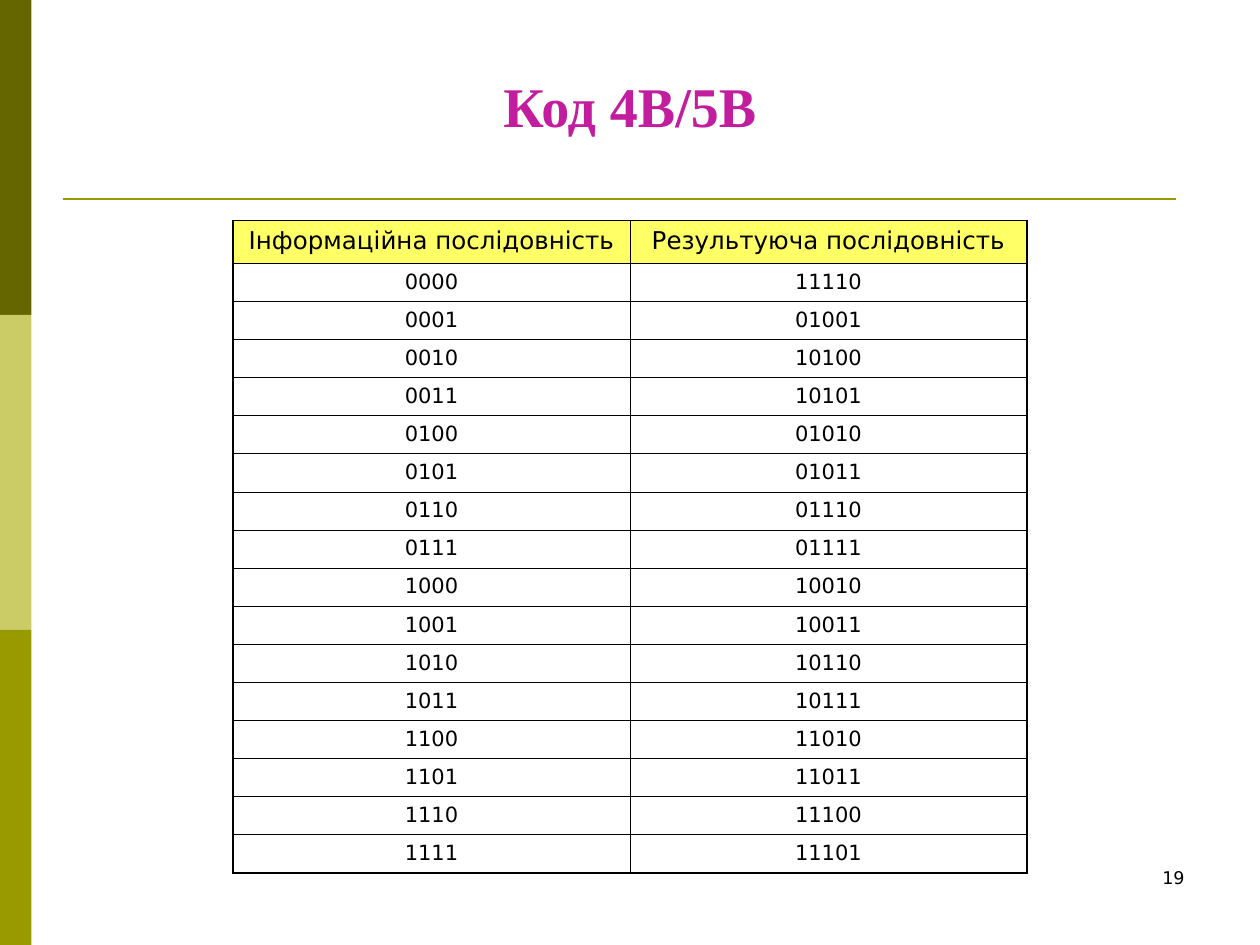
from lxml.etree import SubElement
from pptx import Presentation
from pptx.dml.color import RGBColor
from pptx.enum.shapes import MSO_CONNECTOR, MSO_SHAPE
from pptx.enum.text import MSO_ANCHOR, PP_ALIGN
from pptx.oxml import parse_xml
from pptx.oxml.ns import nsdecls, qn
from pptx.util import Inches, Pt

WIDTH, HEIGHT = Inches(10), Inches(7.5)
COLUMNS, ROWS = 40, 30
BANDS = ["666600", "CCCC66", "999900"]
HEADINGS = ["Інформаційна послідовність", "Результуюча послідовність"]
CODES = """11110 01001 10100 10101 01010 01011 01110 01111
10010 10011 10110 10111 11010 11011 11100 11101""".split()
TITLE = {"name": "Times New Roman", "size": Pt(32), "bold": True}
HEADING = {"name": "DejaVu Sans", "size": Pt(14), "bold": False}
BODY = {**HEADING, "size": Pt(12)}
NUMBER = {**HEADING, "size": Pt(10)}
THIN, THICK = 0.45, 1.08


def color(value):
    """Turn a hex string into a colour."""
    return RGBColor.from_string(value)


def across(columns):
    """Length of a number of grid columns."""
    return round(WIDTH * columns / COLUMNS)


def down(rows):
    """Length of a number of grid rows."""
    return round(HEIGHT * rows / ROWS)


def place(left, top, wide, tall):
    """Position and size from grid columns and rows."""
    return across(left), down(top), across(wide), down(tall)


def write(frame, text, style, align, ink="000000"):
    """Write one formatted paragraph into a text frame."""
    frame.word_wrap = True
    para = frame.paragraphs[0]
    para.alignment = align
    span = para.add_run()
    span.text = text
    for name, value in style.items():
        setattr(span.font, name, value)
    span.font.color.rgb = color(ink)


def add_text(page, spot, text, style, align, anchor=MSO_ANCHOR.TOP, ink="000000"):
    """Add a text box on the grid."""
    frame = page.shapes.add_textbox(*place(*spot)).text_frame
    frame.vertical_anchor = anchor
    write(frame, text, style, align, ink)


def add_band(page, spot, fill):
    """Add a plain filled rectangle."""
    box = page.shapes.add_shape(MSO_SHAPE.RECTANGLE, *place(*spot))
    box.shadow.inherit = False
    box.fill.solid()
    box.fill.fore_color.rgb = color(fill)
    box.line.fill.background()


def add_rule(page, left, right, row, ink):
    """Add a horizontal line."""
    rule = page.shapes.add_connector(
        MSO_CONNECTOR.STRAIGHT, across(left), down(row), across(right), down(row))
    rule.line.color.rgb = color(ink)
    rule.line.width = Pt(1.5)
    SubElement(rule._element.spPr, qn("a:effectLst"))


def set_borders(cell, outer):
    """Draw cell borders, thick on the outer sides."""
    properties = cell._tc.get_or_add_tcPr()
    for index, side in enumerate("LRTB"):
        width = Pt(THICK if side in outer else THIN)
        properties.insert(index, parse_xml(
            f'<a:ln{side} {nsdecls("a")} w="{int(width)}"><a:solidFill>'
            f'<a:srgbClr val="000000"/></a:solidFill></a:ln{side}>'))


def add_code_table(page, spot, heading_rows):
    """Add the table of source and resulting sequences."""
    lines = [HEADINGS] + [[f"{i:04b}", code] for i, code in enumerate(CODES)]
    table = page.shapes.add_table(len(lines), 2, *place(*spot)).table
    table.first_row = table.horz_banding = False
    body_height = down((spot[3] - heading_rows) / len(CODES))
    for row, line in enumerate(lines):
        table.rows[row].height = body_height if row else down(heading_rows)
        vertical = {0: "T", len(CODES): "B"}.get(row, "")
        for column, text in enumerate(line):
            cell = table.cell(row, column)
            write(cell.text_frame, text, BODY if row else HEADING, PP_ALIGN.CENTER)
            if row:
                cell.fill.background()
            else:
                cell.fill.solid()
                cell.fill.fore_color.rgb = color("FFFF66")
            set_borders(cell, "LR"[column] + vertical)


def main():
    """Build the slide and save it."""
    deck = Presentation()
    deck.slide_width, deck.slide_height = WIDTH, HEIGHT
    page = deck.slides.add_slide(deck.slide_layouts[6])
    band_rows = ROWS / len(BANDS)
    for index, fill in enumerate(BANDS):
        add_band(page, (0, index * band_rows, 1, band_rows), fill)
    add_rule(page, 2, 37.32, 6.32, "999900")
    add_text(page, (2, 1.2, 36, 3.4), "Код 4В/5В", TITLE,
             PP_ALIGN.CENTER, MSO_ANCHOR.BOTTOM, "C11D9E")
    add_code_table(page, (7.4, 7, 25.2, 20.72), 1.36)
    add_text(page, (28.68, 27.32, 9.32, 2), "19", NUMBER, PP_ALIGN.RIGHT)
    deck.save("out.pptx")


if __name__ == "__main__":
    main()
